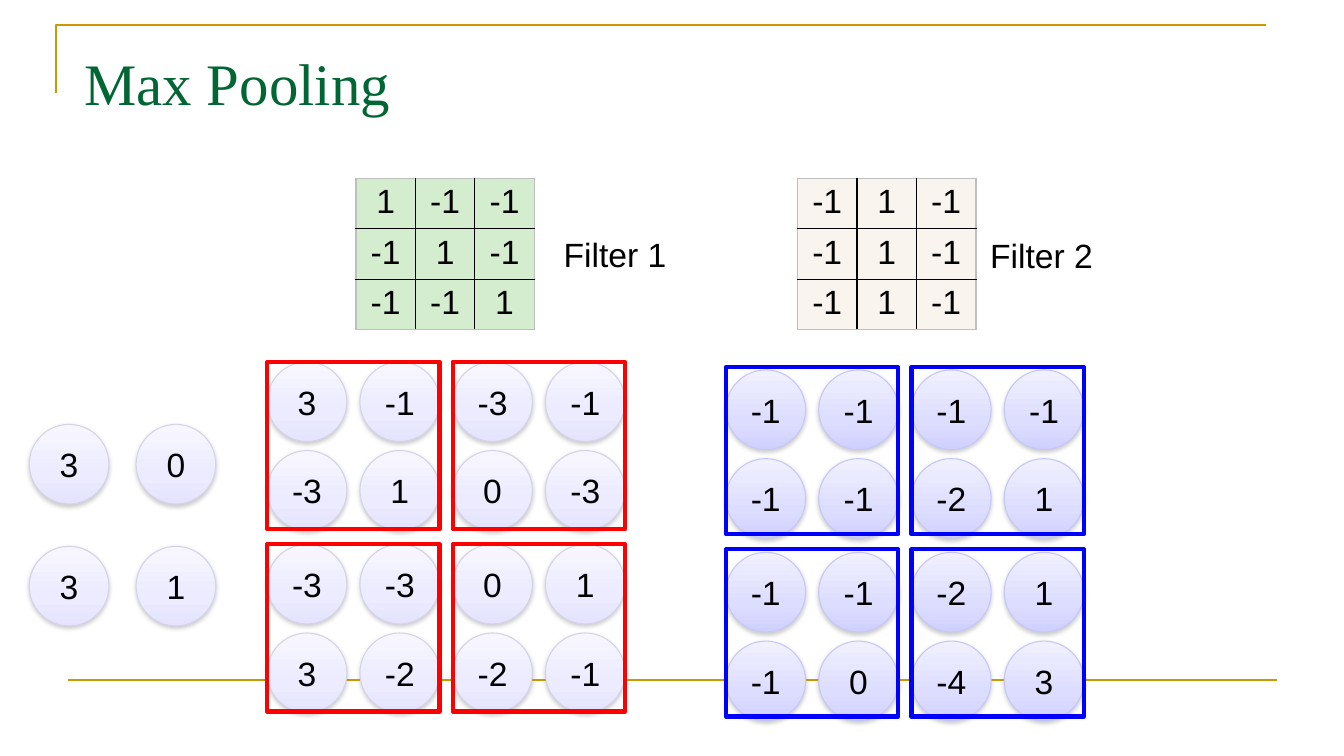
from pptx import Presentation
from pptx.dml.color import RGBColor
from pptx.enum.shapes import MSO_CONNECTOR, MSO_SHAPE
from pptx.enum.text import MSO_ANCHOR, PP_ALIGN
from pptx.oxml import parse_xml
from pptx.oxml.ns import nsdecls
from pptx.util import Inches, Pt

COLORS = {
    "gold": "CC9900", "title": "006633", "text": "000000", "grid": "000000",
    "edge": "BFBFBF", "green": "D3EDCE", "cream": "F9F4EE", "red": "FF0000",
    "blue": "0000FF", "shadow": "808080",
}
PALE = {"stops": {0: "F7F6FF", 65: "ECEBFF", 100: "E5E3FF"}, "outline": "D4D3E7"}
LILAC = {"stops": {0: "F0F0FF", 65: "DDDDFF", 100: "D0D0FF"}, "outline": "C6C6FB"}
BODY = {"name": "Arial", "size": Pt(24)}
HEADING = {"name": "Times New Roman", "size": Pt(42)}
BALL = 0.79
BALL_PITCH = (0.92, 0.88)
BLOCK_PITCH = (1.84, 1.81)
BLOCK_SIZE = (1.71, 1.66)

FILTER_1 = [[1, -1, -1], [-1, 1, -1], [-1, -1, 1]]
FILTER_2 = [[-1, 1, -1]] * 3
MAP_1 = [[3, -1, -3, -1], [-3, 1, 0, -3], [-3, -3, 0, 1], [3, -2, -2, -1]]
MAP_2 = [[-1, -1, -1, -1], [-1, -1, -2, 1], [-1, -1, -2, 1], [-1, 0, -4, 3]]
POOLED = [[3, 0], [3, 1]]


def rgb(name):
    """Return the palette colour called name."""
    return RGBColor.from_string(COLORS[name])


def write(frame, text, style=BODY, color="text", align=PP_ALIGN.CENTER):
    """Put one styled paragraph into a text frame."""
    paragraph = frame.paragraphs[0]
    paragraph.alignment = align
    run = paragraph.add_run()
    run.text = str(text)
    for attribute, value in style.items():
        setattr(run.font, attribute, value)
    run.font.color.rgb = rgb(color)


def add_frame_lines(slide, left, top, width):
    """Draw the gold corner at the top and the gold rule at the bottom."""
    builder = slide.shapes.build_freeform(Inches(left), Inches(top + 0.67))
    builder.add_line_segments(
        [(Inches(left), Inches(top)), (Inches(left + width), Inches(top))], close=False)
    corner = builder.convert_to_shape()
    corner.shadow.inherit = False
    corner.fill.background()
    rule_left, rule_top = Inches(left + 0.11), Inches(top + 6.5)
    rule = slide.shapes.add_connector(
        MSO_CONNECTOR.STRAIGHT, rule_left, rule_top, rule_left + Inches(width), rule_top)
    rule._element.spPr.append(parse_xml(f"<a:effectLst {nsdecls('a')}/>"))
    for stroke in (corner.line, rule.line):
        stroke.color.rgb = rgb("gold")
        stroke.width = Pt(1.5)


def add_title(slide, left, top, width, height):
    """Place the slide title at the bottom of its box."""
    title = slide.shapes.add_textbox(*map(Inches, (left, top, width, height))).text_frame
    title.word_wrap = True
    title.vertical_anchor = MSO_ANCHOR.BOTTOM
    title.margin_bottom = 0
    write(title, "Max Pooling", HEADING, "title", PP_ALIGN.LEFT)


def set_borders(cell, row, column, last):
    """Rule a cell in black inside the grid and in grey along its edge."""
    outer = {"lnL": column == 0, "lnR": column == last, "lnT": row == 0, "lnB": row == last}
    properties = cell._tc.get_or_add_tcPr()
    for side, at_edge in outer.items():
        color = COLORS["edge" if at_edge else "grid"]
        properties.append(parse_xml(
            f'<a:{side} {nsdecls("a")} w="12700"><a:solidFill><a:srgbClr val="{color}"/>'
            f"</a:solidFill></a:{side}>"))


def add_filter(slide, left, top, row_height, weights, fill, label, label_left, label_top):
    """Draw a filter matrix and its label, offset from the matrix corner."""
    count = len(weights)
    matrix = slide.shapes.add_table(
        count, count, Inches(left), Inches(top),
        Inches(0.59 * count), Inches(row_height * count)).table
    matrix.first_row = matrix.horz_banding = False
    for row, values in enumerate(weights):
        for column, value in enumerate(values):
            cell = matrix.cell(row, column)
            set_borders(cell, row, column, count - 1)
            cell.fill.solid()
            cell.fill.fore_color.rgb = rgb(fill)
            write(cell.text_frame, value)
    caption = slide.shapes.add_textbox(
        Inches(left + label_left), Inches(top + label_top), Inches(1.58), Inches(0.51)).text_frame
    caption.word_wrap = True
    write(caption, label)


def add_ball(slide, left, top, value, look):
    """Draw one shaded ball holding a value."""
    ball = slide.shapes.add_shape(
        MSO_SHAPE.OVAL, Inches(left), Inches(top), Inches(BALL), Inches(BALL))
    stops = "".join(f'<a:gs pos="{place * 1000}"><a:srgbClr val="{color}"/></a:gs>'
                    for place, color in look["stops"].items())
    ball._element.spPr.insert(2, parse_xml(
        f'<a:gradFill {nsdecls("a")} rotWithShape="1"><a:gsLst>{stops}</a:gsLst>'
        '<a:lin ang="5400000" scaled="0"/></a:gradFill>'))
    ball.line.color.rgb = RGBColor.from_string(look["outline"])
    ball.line.width = Pt(0.75)
    ball.shadow.inherit = False
    ball._element.spPr[-1].append(parse_xml(
        f'<a:outerShdw {nsdecls("a")} blurRad="{Pt(3.1)}" dist="{Pt(1.6)}" dir="5400000" '
        f'rotWithShape="0"><a:srgbClr val="{COLORS["shadow"]}"><a:alpha val="38000"/>'
        "</a:srgbClr></a:outerShdw>"))
    ball.text_frame.vertical_anchor = MSO_ANCHOR.MIDDLE
    write(ball.text_frame, value)


def add_feature_map(slide, left, top, values, look, block_color, block_shift=0):
    """Draw a 4 by 4 map of balls with a frame around each 2 by 2 block."""
    for row, line in enumerate(values):
        for column, value in enumerate(line):
            x, y = (index // 2 * block + index % 2 * step for index, block, step
                    in zip((column, row), BLOCK_PITCH, BALL_PITCH))
            add_ball(slide, left + x, top + y, value, look)
    for index in range(4):
        block = slide.shapes.add_shape(
            MSO_SHAPE.RECTANGLE,
            Inches(left + index % 2 * BLOCK_PITCH[0]),
            Inches(top + block_shift + index // 2 * BLOCK_PITCH[1]),
            *map(Inches, BLOCK_SIZE))
        block.shadow.inherit = False
        block.fill.background()
        block.line.color.rgb = rgb(block_color)
        block.line.width = Pt(3)


def add_pooled_map(slide, left, top, values, look):
    """Draw the pooled values as a loose grid of balls."""
    for row, line in enumerate(values):
        for column, value in enumerate(line):
            add_ball(slide, left + column * 1.06, top + row * 1.21, value, look)


def main():
    """Build the slide and save it."""
    deck = Presentation()
    deck.slide_width, deck.slide_height = Inches(13.33), Inches(7.5)
    slide = deck.slides.add_slide(deck.slide_layouts[6])
    add_frame_lines(slide, 0.56, 0.25, 12)
    add_title(slide, 0.74, 0.37, 8.62, 0.79)
    add_filter(slide, 7.91, 1.77, 0.47, FILTER_2, "cream", "Filter 2", 1.63, 0.51)
    add_filter(slide, 3.53, 1.77, 0.5, FILTER_1, "green", "Filter 1", 1.78, 0.5)
    add_feature_map(slide, 2.65, 3.59, MAP_1, PALE, "red")
    add_feature_map(slide, 7.2, 3.67, MAP_2, LILAC, "blue", -0.03)
    add_pooled_map(slide, 0.29, 4.21, POOLED, PALE)
    deck.save("out.pptx")


if __name__ == "__main__":
    main()
